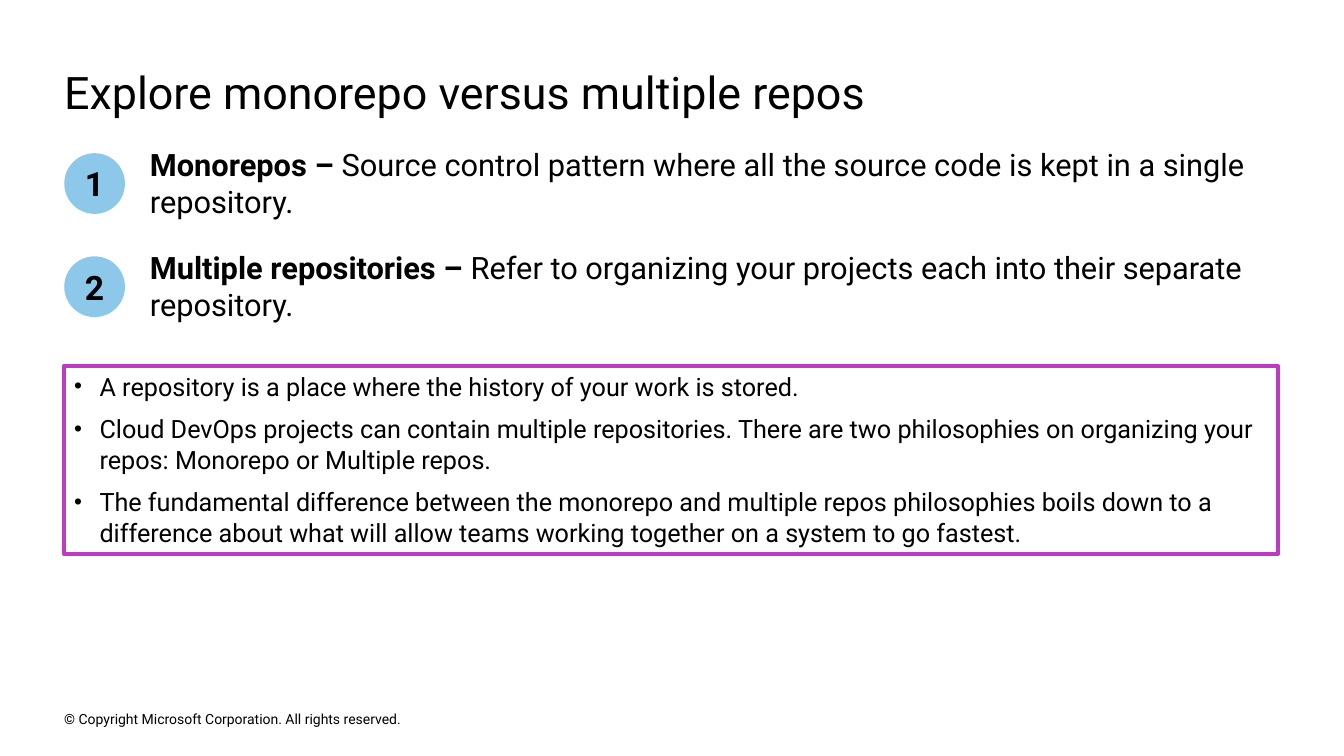
from lxml import etree
from pptx import Presentation
from pptx.dml.color import RGBColor
from pptx.enum.shapes import MSO_SHAPE
from pptx.enum.text import MSO_ANCHOR, PP_ALIGN
from pptx.oxml.ns import qn
from pptx.util import Cm, Pt

BLACK = RGBColor(0x00, 0x00, 0x00)
SKY = RGBColor(0x8D, 0xC8, 0xEB)
PURPLE = RGBColor(0xBF, 0x3A, 0xC4)
OVAL, RECTANGLE = MSO_SHAPE.OVAL, MSO_SHAPE.RECTANGLE
TOP, MIDDLE = MSO_ANCHOR.TOP, MSO_ANCHOR.MIDDLE
LEFT, CENTER = PP_ALIGN.LEFT, PP_ALIGN.CENTER

MARGIN = 1.62
CONTENT_WIDTH = 30.58
FIRST_ROW_TOP = 3.68
ROW_PITCH = 2.6
BADGE_SIZE = 1.53
BADGE_DROP = 0.18
DEFINITION_LEFT = 3.78
DEFINITION_WIDTH = 28.44

DEFINITIONS = [
    ("Monorepos – ",
     "Source control pattern where all the source code is kept in a single repository."),
    ("Multiple repositories – ",
     "Refer to organizing your projects each into their separate repository."),
]
KEY_POINTS = [
    "A repository is a place where the history of your work is stored.",
    "Cloud DevOps projects can contain multiple repositories. There are two "
    "philosophies on organizing your repos: Monorepo or Multiple repos.",
    "The fundamental difference between the monorepo and multiple repos philosophies "
    "boils down to a difference about what will allow teams working together on a "
    "system to go fastest.",
]


class SlideBuilder:
    """Draws elements on one slide in a shared style; lengths are centimetres."""

    def __init__(self, slide, font_name="Roboto"):
        self.slide = slide
        self.font_name = font_name

    def style(self, font, size, bold=None):
        font.name = self.font_name
        font.size = Pt(size)
        font.color.rgb = BLACK
        font.bold = bold

    def text(self, left, top, width, height, parts, size, anchor=TOP):
        """Adds a box without insets; parts are (wording, bold) pairs."""
        box = self.slide.shapes.add_textbox(Cm(left), Cm(top), Cm(width), Cm(height))
        frame = box.text_frame
        frame.word_wrap = True
        frame.vertical_anchor = anchor
        frame.margin_left = frame.margin_right = 0
        frame.margin_top = frame.margin_bottom = 0
        paragraph = frame.paragraphs[0]
        self.style(paragraph.font, size)
        for wording, bold in parts:
            run = paragraph.add_run()
            run.text = wording
            self.style(run.font, size, bold)

    def shape(self, kind, left, top, width, height):
        shape = self.slide.shapes.add_shape(
            kind, Cm(left), Cm(top), Cm(width), Cm(height))
        shape.shadow.inherit = False
        return shape

    def badge(self, left, top, number):
        circle = self.shape(OVAL, left, top, BADGE_SIZE, BADGE_SIZE)
        circle.fill.solid()
        circle.fill.fore_color.rgb = SKY
        circle.line.fill.background()
        frame = circle.text_frame
        frame.vertical_anchor = MIDDLE
        paragraph = frame.paragraphs[0]
        paragraph.text = str(number)
        paragraph.alignment = CENTER
        self.style(paragraph.font, 24, True)

    def bullet_panel(self, left, top, width, height, points):
        panel = self.shape(RECTANGLE, left, top, width, height)
        panel.fill.background()
        panel.line.color.rgb = PURPLE
        panel.line.width = Pt(3)
        frame = panel.text_frame
        frame.word_wrap = True
        frame.vertical_anchor = TOP
        for index, point in enumerate(points):
            paragraph = frame.add_paragraph() if index else frame.paragraphs[0]
            paragraph.text = point
            paragraph.alignment = LEFT
            paragraph.space_after = Pt(9)
            self.add_bullet(paragraph)
            self.style(paragraph.font, 18)

    def add_bullet(self, paragraph):
        properties = paragraph._p.get_or_add_pPr()
        indent = Cm(0.64)
        properties.set("marL", str(indent))
        properties.set("indent", str(-indent))
        for tag, attribute, value in (("a:buSzPct", "val", "90000"),
                                      ("a:buFont", "typeface", "Arial"),
                                      ("a:buChar", "char", "•")):
            etree.SubElement(properties, qn(tag)).set(attribute, value)


def main():
    presentation = Presentation()
    presentation.slide_width = Cm(33.87)
    presentation.slide_height = Cm(19.05)
    builder = SlideBuilder(presentation.slides.add_slide(presentation.slide_layouts[6]))

    builder.text(MARGIN, 17.83, 11.53, 0.56,
                 [("© Copyright Microsoft Corporation. All rights reserved.", False)],
                 10, MIDDLE)
    builder.text(MARGIN, 1.62, CONTENT_WIDTH, 1.37,
                 [("Explore monorepo versus multiple repos", False)], 32)
    for index, (term, meaning) in enumerate(DEFINITIONS):
        row_top = FIRST_ROW_TOP + index * ROW_PITCH
        builder.badge(MARGIN, row_top + BADGE_DROP, index + 1)
        builder.text(DEFINITION_LEFT, row_top, DEFINITION_WIDTH, 1.88,
                     [(term, True), (meaning, False)], 22)
    builder.bullet_panel(MARGIN, 9.22, CONTENT_WIDTH, 4.75, KEY_POINTS)

    presentation.save("out.pptx")


if __name__ == "__main__":
    main()
